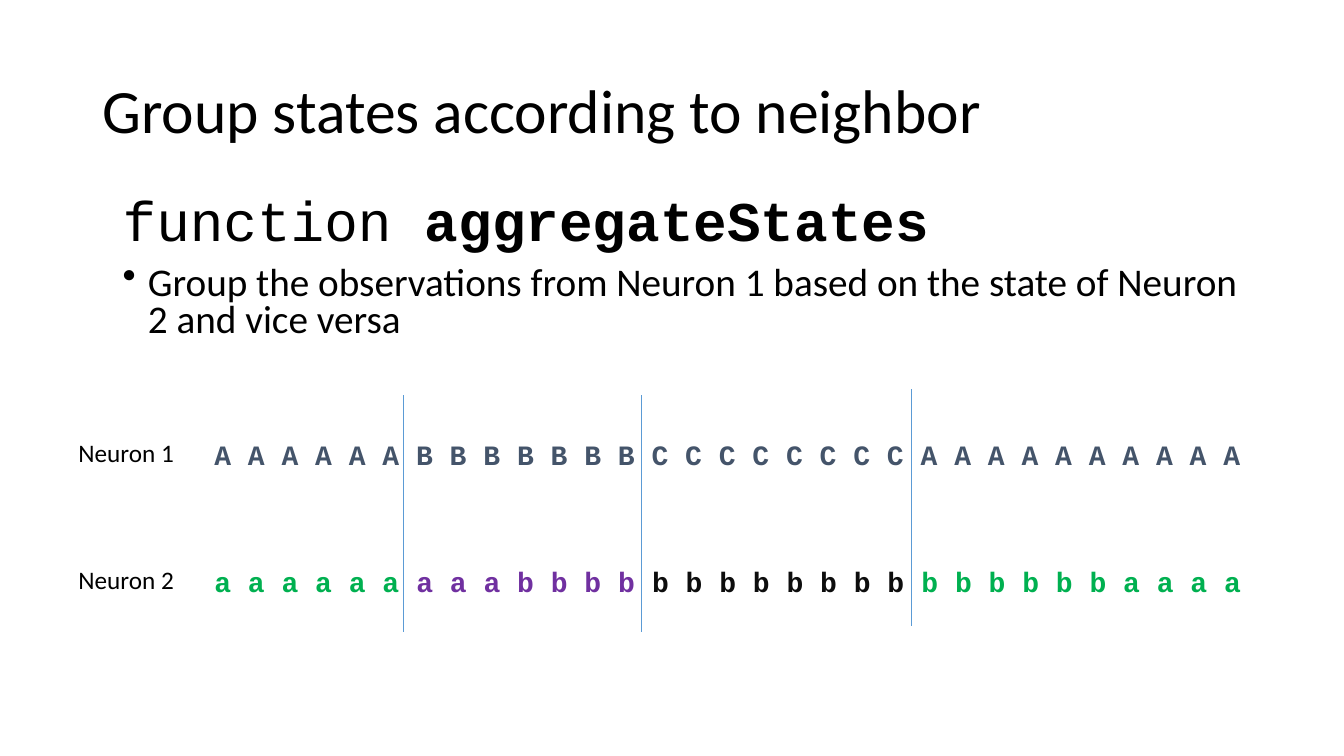
import pptx
import pptx.util
import pptx.dml.color
import pptx.enum.shapes
import pptx.enum.text
import pptx.oxml
import pptx.oxml.ns
from dataclasses import dataclass

Pt = pptx.util.Pt


@dataclass(frozen=True)
class Theme:
    sans: str = "Calibri"
    mono: str = "Courier New"
    black: str = "000000"
    slate: str = "44546A"
    green: str = "00B050"
    purple: str = "7030A0"
    ink: str = "0D0D0D"
    blue: str = "5B9BD5"
    title: int = 44
    code: int = 40
    body: int = 28
    label: int = 18
    state: int = 20


THEME = Theme()


def format_run(r, font, size, color, bold=False):
    r.font.name = font
    r.font.size = Pt(size)
    r.font.bold = bold
    r.font.color.rgb = pptx.dml.color.RGBColor.from_string(color)


def add_run(p, text, *style):
    r = p.add_run()
    r.text = text
    format_run(r, *style)


def place(sp, left, top, width, height):
    sp.left, sp.top, sp.width, sp.height = map(Pt, (left, top, width, height))


def add_text(slide, left, top, width, height):
    sp = slide.shapes.add_textbox(0, 0, 0, 0)
    place(sp, left, top, width, height)
    sp.text_frame.word_wrap = True
    return sp.text_frame


def add_title(slide, box, text):
    sp = slide.shapes.title
    place(sp, *box)
    tf = sp.text_frame
    tf.text = text
    tf.auto_size = pptx.enum.text.MSO_AUTO_SIZE.NONE
    tf.vertical_anchor = pptx.enum.text.MSO_ANCHOR.MIDDLE
    p = tf.paragraphs[0]
    p.alignment = pptx.enum.text.PP_ALIGN.LEFT
    p.line_spacing = 0.9
    format_run(p.runs[0], THEME.sans, THEME.title, THEME.black)


def add_bullet(p, indent):
    pPr = p._p.get_or_add_pPr()
    pPr.set("marL", str(Pt(indent)))
    pPr.set("indent", str(-Pt(indent)))
    bu = pptx.oxml.parse_xml(
        f'<a:buChar {pptx.oxml.ns.nsdecls("a")} char="•"/>')
    pPr.append(bu)


def add_description(slide, box):
    tf = add_text(slide, *box)
    p = tf.paragraphs[0]
    p.line_spacing = 0.8
    add_run(p, "function ", THEME.mono, THEME.code, THEME.black)
    add_run(p, "aggregateStates", THEME.mono, THEME.code, THEME.black, True)
    p = tf.add_paragraph()
    add_bullet(p, 18)
    p.line_spacing = 0.8
    p.space_before = Pt(10)
    add_run(p, "Group the observations from Neuron 1 based on the state of "
            "Neuron 2 and vice versa", THEME.sans, THEME.body, THEME.black)


def add_neuron(slide, left, top, width, name, groups):
    label_width = 97
    tf = add_text(slide, left, top, label_width, 29)
    add_run(tf.paragraphs[0], name, THEME.sans, THEME.label, THEME.black)
    tf = add_text(slide, left + label_width, top, width - label_width, 31.5)
    for i, (states, color) in enumerate(groups):
        gap = " " if i < len(groups) - 1 else ""
        add_run(tf.paragraphs[0], " ".join(states) + gap,
                THEME.mono, THEME.state, color, True)


def add_divider(slide, x, top, height):
    line = slide.shapes.add_connector(
        pptx.enum.shapes.MSO_CONNECTOR.STRAIGHT,
        Pt(x), Pt(top + height), Pt(x), Pt(top))
    line.line.color.rgb = pptx.dml.color.RGBColor.from_string(THEME.blue)
    line.line.width = Pt(0.5)
    line._element.spPr.append(pptx.oxml.parse_xml(
        f'<a:effectLst {pptx.oxml.ns.nsdecls("a")}/>'))


def add_sequences(slide, left, top, width):
    neurons = (
        ("Neuron 1", (("A" * 6 + "B" * 7 + "C" * 8 + "A" * 10, THEME.slate),)),
        ("Neuron 2", (("a" * 6, THEME.green), ("aaabbbb", THEME.purple),
                      ("b" * 8, THEME.ink), ("bbbbbbaaaa", THEME.green))),
    )
    for i, (name, groups) in enumerate(neurons):
        add_neuron(slide, left, top + 31 + 90.5 * i, width, name, groups)
    for x, y in ((239, 4.3), (409, 4.3), (602, 0)):
        add_divider(slide, left + x, top + y, 169)


def main():
    prs = pptx.Presentation()
    prs.slide_width, prs.slide_height = Pt(960), Pt(540)
    slide = prs.slides.add_slide(prs.slide_layouts[5])
    add_title(slide, (66, 28.8, 828, 104.4),
              "Group states according to neighbor")
    add_description(slide, (80.6, 138.2, 814.3, 112.3))
    add_sequences(slide, 49, 278, 900)
    prs.save("out.pptx")


if __name__ == "__main__":
    main()
